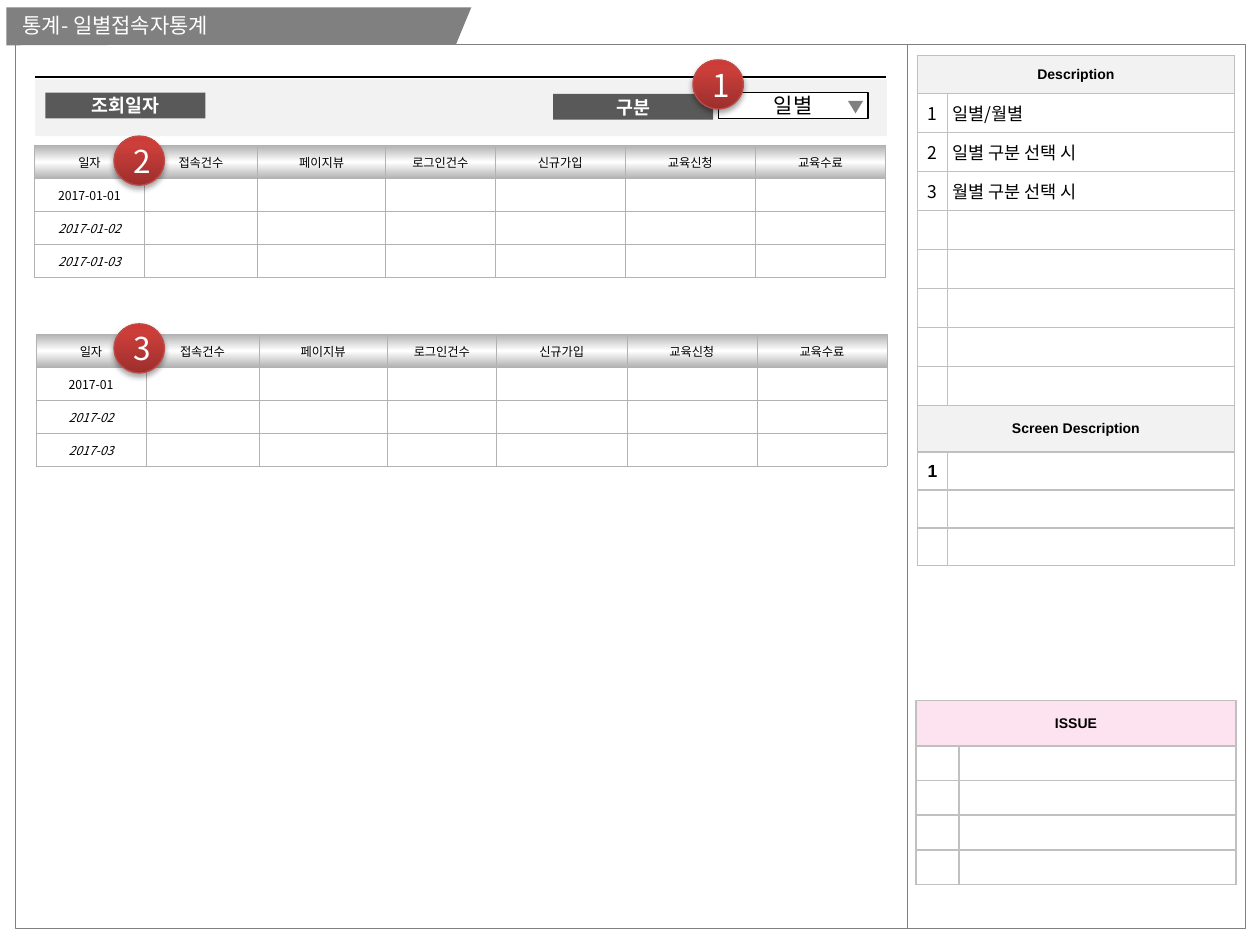
"""Build the daily visitor statistics screen plan on a 100 by 75 grid."""
from copy import deepcopy
from lxml import etree
from pptx import Presentation
from pptx import util as u
from pptx.dml.color import RGBColor
from pptx.enum import shapes, text
from pptx.oxml.ns import qn

BLACK = RGBColor(0x00, 0x00, 0x00)
WHITE = RGBColor(0xFF, 0xFF, 0xFF)
GRAY = RGBColor(0x80, 0x80, 0x80)
DARK = RGBColor(0x59, 0x59, 0x59)
PALE = RGBColor(0xF2, 0xF2, 0xF2)
PINK = RGBColor(0xFD, 0xE3, 0xEF)
SILVER = RGBColor(0xC0, 0xC0, 0xC0)
STEEL = RGBColor(0xB2, 0xB2, 0xB2)
RIM = RGBColor(0xBF, 0x4C, 0x48)
STEEL_BLEND = [(0, STEEL), (0.5, WHITE), (1, STEEL)]
RED_BLEND = [(0, RGBColor(0x9C, 0x2F, 0x2D)), (0.8, RGBColor(0xCB, 0x3E, 0x3A)),
             (1, RGBColor(0xCE, 0x3B, 0x37))]
SANS, KOREAN = "Arial", "Noto Sans CJK KR"
CENTER = text.PP_ALIGN.CENTER
RECT = shapes.MSO_SHAPE.RECTANGLE


def write(tf, words, size=10, font=KOREAN, color=BLACK, bold=False, italic=False, align=CENTER):
    p = tf.paragraphs[0]
    p.alignment = align
    r = p.add_run()
    r.text = words
    r.font.size = u.Pt(size)
    r.font.bold, r.font.italic = bold, italic
    r.font.color.rgb = color
    r.font.name = font
    etree.SubElement(r.font._element, qn("a:ea"), typeface=font)


def blend(fill, element, stops, angle):
    fill.gradient()
    fill.gradient_angle = angle
    stop_list = element.find(".//" + qn("a:gsLst"))
    stop_list.append(deepcopy(stop_list[-1]))
    for stop, (position, color) in zip(fill.gradient_stops, stops):
        stop.position = position
        stop.color.rgb = color


prs = Presentation()
prs.slide_width, prs.slide_height = u.Inches(10), u.Inches(7.5)
GRID = prs.slide_width // 100
s = prs.slides.add_slide(prs.slide_layouts[6])

frame = s.shapes.add_shape(RECT, *(int(v * GRID) for v in (1.2, 3.5, 97.6, 70.2)))
frame.shadow.inherit = False
frame.fill.background()
frame.line.color.rgb = GRAY
frame.line.width = u.Pt(0.25)

builder = s.shapes.build_freeform(int(0.5 * GRID), int(0.6 * GRID))
builder.add_line_segments([(x * GRID, y * GRID) for x, y in
                           [(37.4, 0.6), (36.2, 3.5), (0.5, 3.6)]], close=True)
tab = builder.convert_to_shape()
tab.shadow.inherit = False
tab.fill.solid()
tab.fill.fore_color.rgb = GRAY
tab.line.fill.background()

heading = dict(size=8, font=SANS, bold=True)
left = dict(align=text.PP_ALIGN.LEFT)
description = {(0, 0): ("Description", heading), (9, 0): ("Screen Description", heading),
               (10, 0): ("1", dict(font=SANS, bold=True))}
for i, words in enumerate(["일별/월별", "일별 구분 선택 시", "월별 구분 선택 시"], 1):
    description[i, 0] = (str(i), {})
    description[i, 1] = (words, left)

tables = [
    (72.8, 4.4, [2.4, 22.8], [3] + [3.1] * 8 + [3.7] + [3] * 3, SILVER, 1,
     {0: PALE, 9: PALE}, description),
    (72.7, 55.6, [3.4, 22], [3.6] + [2.75] * 4, SILVER, 1,
     {0: PINK}, {(0, 0): ("ISSUE", heading)}),
]
columns = ["일자", "접속건수", "페이지뷰", "로그인건수", "신규가입", "교육신청", "교육수료"]
for x, y, prefix in [(2.75, 11.55, "2017-01-"), (2.87, 26.53, "2017-")]:
    cells = {(0, c): (name, dict(size=7)) for c, name in enumerate(columns)}
    for i in range(1, 4):
        cells[i, 0] = (f"{prefix}0{i}", dict(size=7, italic=i > 1))
    tables.append((x, y, [8.7, 9, 10.15, 8.7] + [10.33] * 3, [2.62] * 4, STEEL, 0.25, {}, cells))

for x, y, widths, heights, edge, weight, bands, cells in tables:
    box = (int(v * GRID) for v in (x, y, sum(widths), sum(heights)))
    table = s.shapes.add_table(len(heights), len(widths), *box).table
    table.first_row = table.horz_banding = False
    for column, width in zip(table.columns, widths):
        column.width = int(width * GRID)
    for i, height in enumerate(heights):
        table.rows[i].height = int(height * GRID)
        for j in range(len(widths)):
            cell = table.cell(i, j)
            cell.margin_left = int(0.4 * GRID) if len(widths) == 2 and j == 1 else 0
            cell.margin_right = cell.margin_top = cell.margin_bottom = 0
            cell.vertical_anchor = text.MSO_ANCHOR.MIDDLE
            tc_pr = cell._tc.get_or_add_tcPr()
            if i in bands:
                cell.fill.solid()
                cell.fill.fore_color.rgb = bands[i]
            elif i == 0:
                blend(cell.fill, tc_pr, STEEL_BLEND, 270)
            else:
                cell.fill.background()
            for k, side in enumerate(["lnL", "lnR", "lnT", "lnB"]):
                ln = etree.Element(qn("a:" + side), w=str(u.Pt(weight)))
                solid = etree.SubElement(ln, qn("a:solidFill"))
                etree.SubElement(solid, qn("a:srgbClr"), val=str(edge))
                tc_pr.insert(k, ln)
            if (i, j) in cells:
                words, style = cells[i, j]
                write(cell.text_frame, words, **style)
            else:
                p = cell.text_frame.paragraphs[0]
                etree.SubElement(p._p, qn("a:endParaRPr"), sz="700")
        if i in bands:
            table.cell(i, 0).merge(table.cell(i, 1))

title = s.shapes.add_textbox(*(int(v * GRID) for v in (0.8, 0.5, 29.9, 3)))
title.text_frame.word_wrap = True
write(title.text_frame, "통계- 일별접속자통계", size=12, color=WHITE, **left)

label = dict(size=10.5, color=WHITE, bold=True)
boxes = [
    (RECT, (2.8, 6.3, 67.6, 4.5), PALE, None, "", {}),
    (RECT, (3.6, 7.35, 12.7, 2.05), DARK, None, "조회일자", label),
    (RECT, (43.9, 7.45, 12.7, 2.05), DARK, None, "구분", label),
    (RECT, (57, 7.35, 11.9, 2.05), WHITE, BLACK, "일별", dict(size=12)),
    (shapes.MSO_SHAPE.ISOSCELES_TRIANGLE, (67.3, 8, 1.2, 1), GRAY, None, "", {}),
]
for x, y, number in [(55, 4.75, "1"), (9.05, 10.8, "2"), (9.05, 25.7, "3")]:
    boxes.append((shapes.MSO_SHAPE.OVAL, (x, y, 4, 3.9), RED_BLEND, RIM, number,
                  dict(size=18, color=WHITE)))

for kind, box, paint, edge, words, style in boxes:
    sp = s.shapes.add_shape(kind, *(int(v * GRID) for v in box))
    sp.shadow.inherit = False
    if paint is RED_BLEND:
        blend(sp.fill, sp._element.spPr, paint, 90)
        effects = sp._element.spPr.find(qn("a:effectLst"))
        shade = etree.SubElement(effects, qn("a:outerShdw"), blurRad="40000", dist="23000",
                                 dir="5400000", rotWithShape="0")
        tint = etree.SubElement(shade, qn("a:srgbClr"), val=str(BLACK))
        etree.SubElement(tint, qn("a:alpha"), val="35000")
    else:
        sp.fill.solid()
        sp.fill.fore_color.rgb = paint
    if edge is None:
        sp.line.fill.background()
    else:
        sp.line.color.rgb = edge
        sp.line.width = u.Pt(0.75)
    if kind == shapes.MSO_SHAPE.ISOSCELES_TRIANGLE:
        sp.rotation = 180
    if words:
        sp.text_frame.vertical_anchor = text.MSO_ANCHOR.MIDDLE
        write(sp.text_frame, words, **style)

for ends, color, weight in [((72, 3.6, 72, 73.7), GRAY, 0.75), ((2.8, 6.1, 70.3, 6.1), BLACK, 1.5)]:
    rule = s.shapes.add_connector(shapes.MSO_CONNECTOR.STRAIGHT, *(int(v * GRID) for v in ends))
    rule.line.color.rgb = color
    rule.line.width = u.Pt(weight)
    etree.SubElement(rule._element.spPr, qn("a:effectLst"))
    s.shapes._spTree.insert(4, rule._element)

prs.save("out.pptx")
